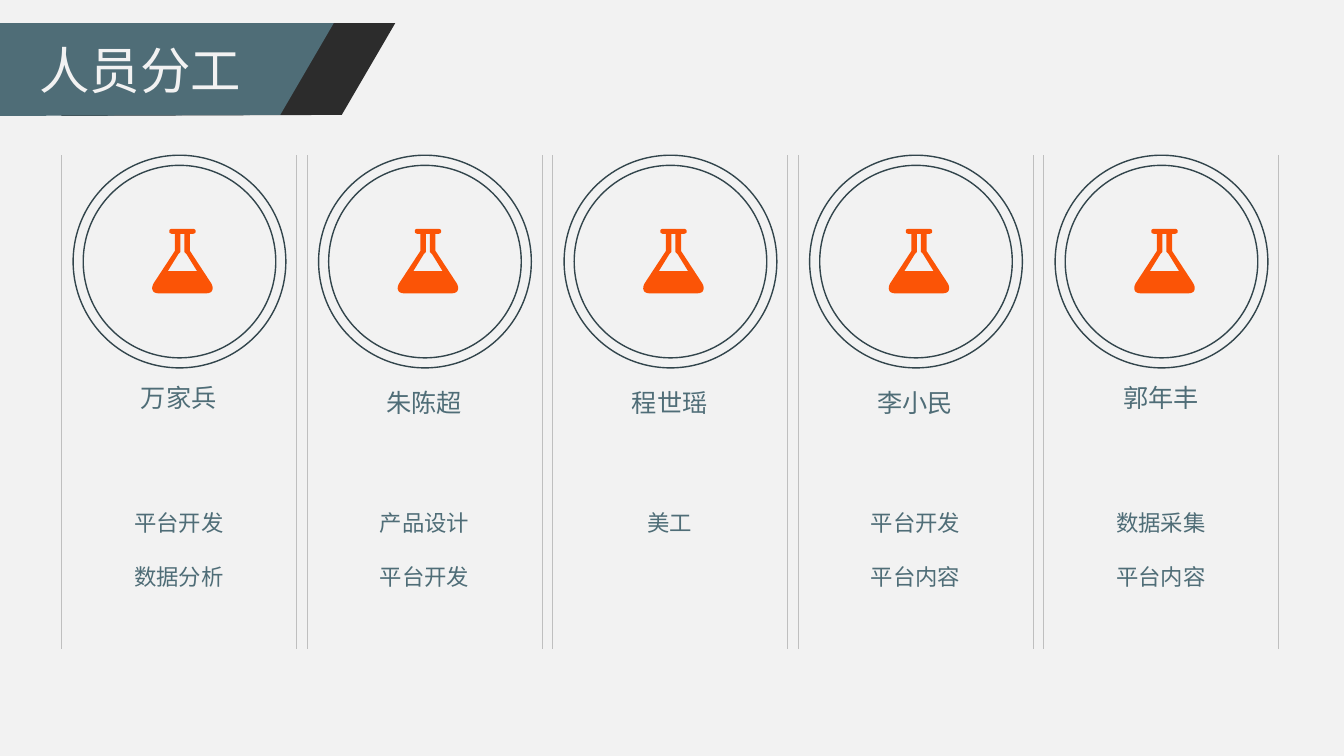
from dataclasses import dataclass

from lxml import etree
from pptx import Presentation
from pptx import util as u
from pptx.dml import color
from pptx.enum import shapes, text
from pptx.oxml import ns


@dataclass(frozen=True)
class Theme:
    background: str = "F2F2F2"
    teal: str = "4F6D77"
    dark: str = "2C2C2C"
    ring: str = "32454C"
    rule: str = "BFBFBF"
    flask: str = "FB5406"
    font: str = "Noto Sans CJK SC"
    title_size: float = 36
    name_size: float = 18
    duty_size: float = 16


@dataclass(frozen=True)
class Member:
    name: str
    duties: tuple[str, ...]
    name_top: float = 3.79


Point = tuple[float, float]
THEME = Theme()
MEMBERS = (
    Member("万家兵", ("平台开发", "数据分析"), 3.74),
    Member("朱陈超", ("产品设计", "平台开发")),
    Member("程世瑶", ("美工",)),
    Member("李小民", ("平台开发", "平台内容")),
    Member("郭年丰", ("数据采集", "平台内容"), 3.74),
)
COLUMN_LEFT, COLUMN_PITCH, COLUMN_WIDTH = 0.61, 2.435, 2.33
COLUMN_TOP, COLUMN_BOTTOM = 1.54, 6.44
UNITS_PER_INCH = 1000
LINE_HEIGHT = 1.2


def rgb(value: str) -> color.RGBColor:
    return color.RGBColor.from_string(value)


def curve(a: Point, b: Point, c: Point, d: Point, steps: int = 8) -> list[Point]:
    """Points along a cubic curve from a to d."""
    return [
        tuple((1 - t) ** 3 * p + 3 * (1 - t) ** 2 * t * q + 3 * (1 - t) * t * t * r + t ** 3 * s
              for p, q, r, s in zip(a, b, c, d))
        for t in (i / steps for i in range(steps + 1))
    ]


def mirrored(half: list[Point]) -> list[Point]:
    return half + [(-x, y) for x, y in reversed(half)]


# Flask contours around the vertical axis: body, then the opening
FLASK_BODY = mirrored(
    curve((0.24, 0.64), (0.3, 0.64), (0.315, 0.59), (0.285, 0.54))
    + [(0.075, 0.22), (0.075, 0.05)]
    + curve((0.1, 0.05), (0.12, 0.05), (0.13, 0.04), (0.13, 0.03))
    + curve((0.13, 0.02), (0.13, 0.01), (0.12, 0), (0.1, 0))
)
FLASK_OPENING = mirrored([(0.145, 0.42), (0.04, 0.25), (0.02, 0.23), (0.02, 0.05)])


def add_outline(slide, contours: list[list[Point]], left: float, top: float, fill: str) -> None:
    placed = [[((left + x) * UNITS_PER_INCH, (top + y) * UNITS_PER_INCH) for x, y in contour]
              for contour in contours]
    builder = slide.shapes.build_freeform(*placed[0][0], scale=u.Inches(1) / UNITS_PER_INCH)
    builder.add_line_segments(placed[0][1:], close=True)
    for contour in placed[1:]:
        builder.move_to(*contour[0])
        builder.add_line_segments(contour[1:], close=True)
    outline = builder.convert_to_shape()
    outline.shadow.inherit = False
    outline.fill.solid()
    outline.fill.fore_color.rgb = rgb(fill)
    outline.line.fill.background()


def add_text(slide, lines: tuple[str, ...], *, left: float, top: float, width: float,
             height: float, size: float, ink: str, centred: bool = False,
             wrap: bool = False, gap: float = 0) -> None:
    box = slide.shapes.add_textbox(*map(u.Inches, (left, top, width, height)))
    frame = box.text_frame
    frame.word_wrap = wrap
    for index, line in enumerate(lines):
        paragraph = frame.paragraphs[0] if index == 0 else frame.add_paragraph()
        paragraph.alignment = text.PP_ALIGN.CENTER if centred else text.PP_ALIGN.LEFT
        paragraph.line_spacing = u.Pt(size * LINE_HEIGHT)
        paragraph.space_before = u.Pt(gap if index else 0)
        run = paragraph.add_run()
        run.text = line
        run.font.size = u.Pt(size)
        run.font.name = THEME.font
        run.font.color.rgb = rgb(ink)
        east_asian = etree.SubElement(run.font._element, ns.qn("a:ea"))
        east_asian.set("typeface", THEME.font)


def add_rule(slide, x: float) -> None:
    rule = slide.shapes.add_connector(
        shapes.MSO_CONNECTOR.STRAIGHT,
        *map(u.Inches, (x, COLUMN_TOP, x, COLUMN_BOTTOM)))
    rule.line.color.rgb = rgb(THEME.rule)
    rule.line.width = u.Pt(0.5)
    etree.SubElement(rule._element.spPr, ns.qn("a:effectLst"))


def add_rings(slide, left: float) -> None:
    rings = slide.shapes.add_group_shape()
    for inset in (0.1, 0):
        diameter = 2.11 - 2 * inset
        ring = rings.shapes.add_shape(
            shapes.MSO_SHAPE.OVAL,
            *map(u.Inches, (left + inset, COLUMN_TOP + inset, diameter, diameter)))
        ring.shadow.inherit = False
        ring.fill.background()
        ring.line.color.rgb = rgb(THEME.ring)
        ring.line.width = u.Pt(1)


def add_banner(slide, title: str) -> None:
    band = [(0, 0), (3.31, 0), (2.78, 0.91), (0, 0.92)]
    for left, fill in ((0.61, THEME.dark), (0, THEME.teal)):
        add_outline(slide, [band], left, 0.23, fill)
    add_text(slide, (title,), left=0.29, top=0.34, width=2.22, height=0.71,
             size=THEME.title_size, ink=THEME.background)


def add_member(slide, member: Member, left: float) -> None:
    add_rings(slide, left + 0.115)
    add_outline(slide, [FLASK_BODY, FLASK_OPENING], left + 1.2, 2.27, THEME.flask)
    for x in (left, left + COLUMN_WIDTH):
        add_rule(slide, x)
    add_text(slide, (member.name,), left=left + 0.69, top=member.name_top, width=0.96,
             height=0.4, size=THEME.name_size, ink=THEME.teal)
    add_text(slide, member.duties, left=left, top=5, width=COLUMN_WIDTH,
             height=0.91 if len(member.duties) > 1 else 0.37, size=THEME.duty_size,
             ink=THEME.teal, centred=True, wrap=True, gap=THEME.duty_size * LINE_HEIGHT)


def main() -> None:
    deck = Presentation()
    deck.slide_width, deck.slide_height = u.Inches(13.33), u.Inches(7.5)
    slide = deck.slides.add_slide(deck.slide_layouts[6])
    slide.background.fill.solid()
    slide.background.fill.fore_color.rgb = rgb(THEME.background)

    # Title banner
    add_banner(slide, "人员分工")

    # One column per team member
    for index, member in enumerate(MEMBERS):
        add_member(slide, member, COLUMN_LEFT + index * COLUMN_PITCH)

    deck.save("out.pptx")


if __name__ == "__main__":
    main()
